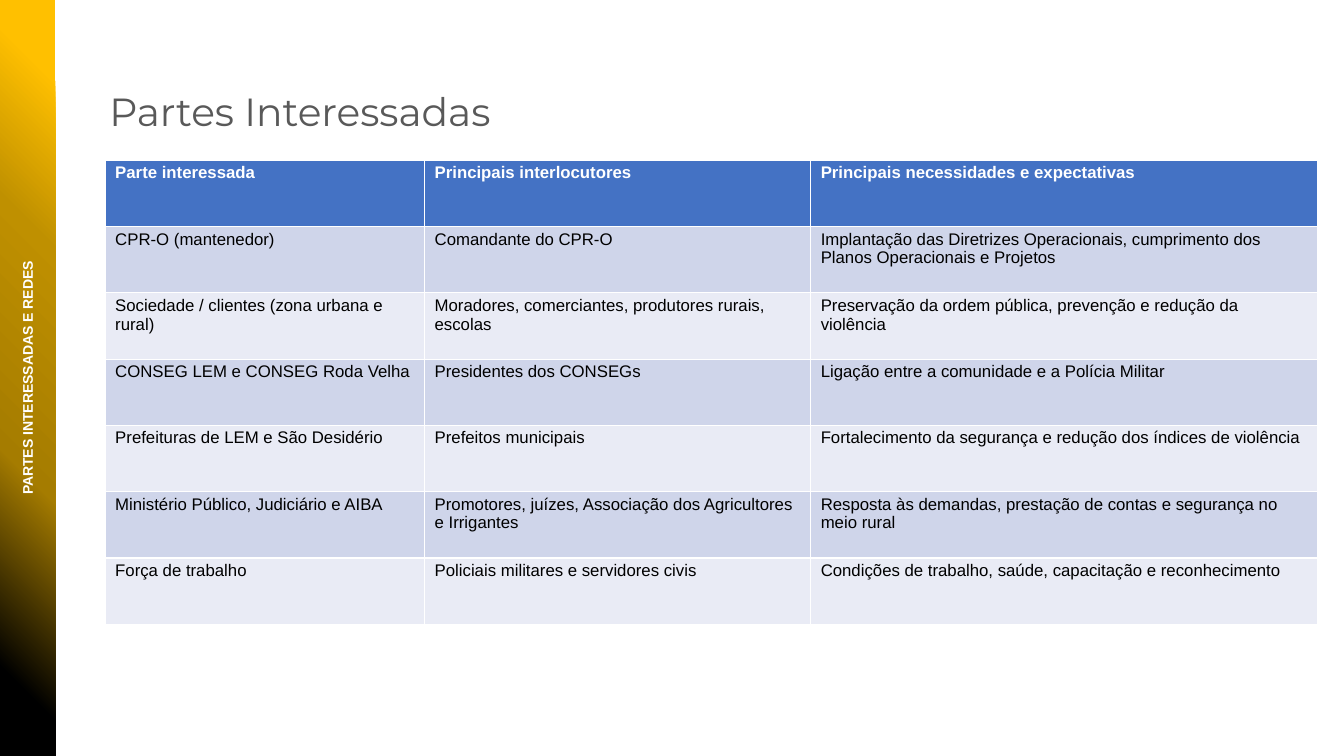
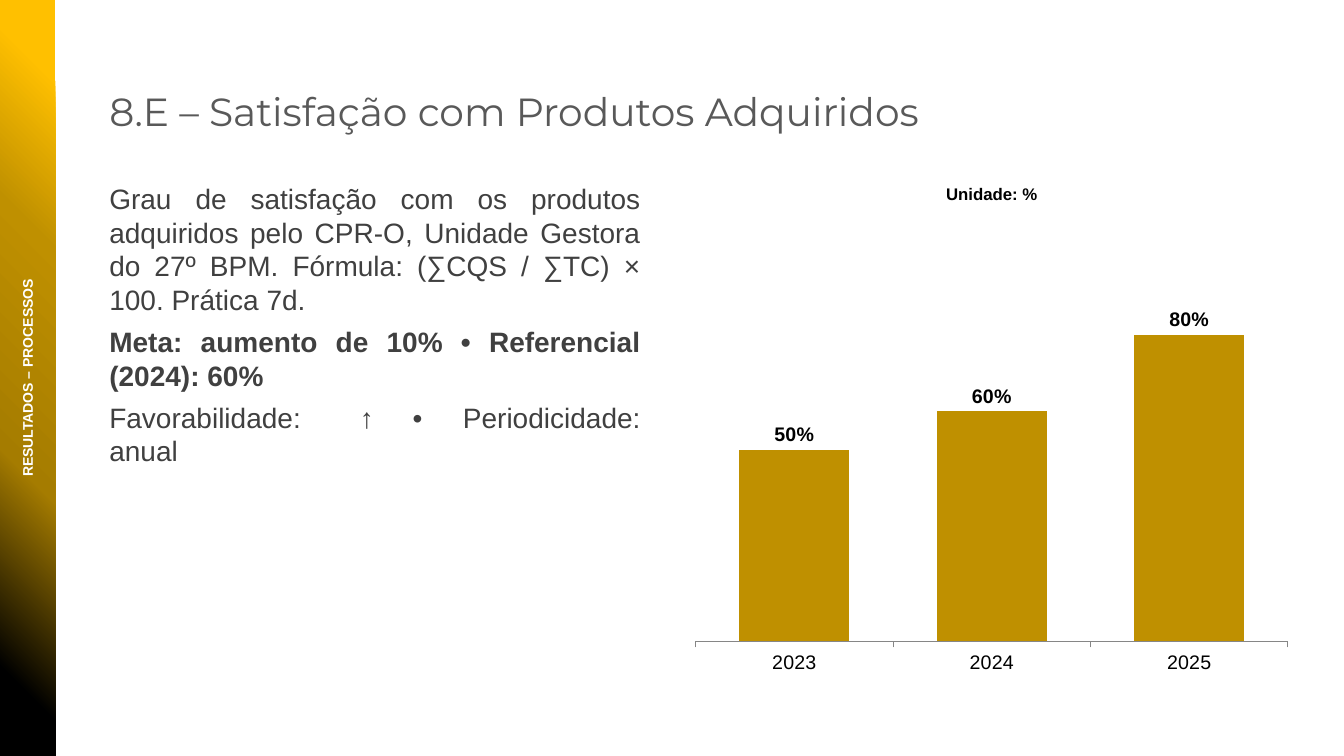
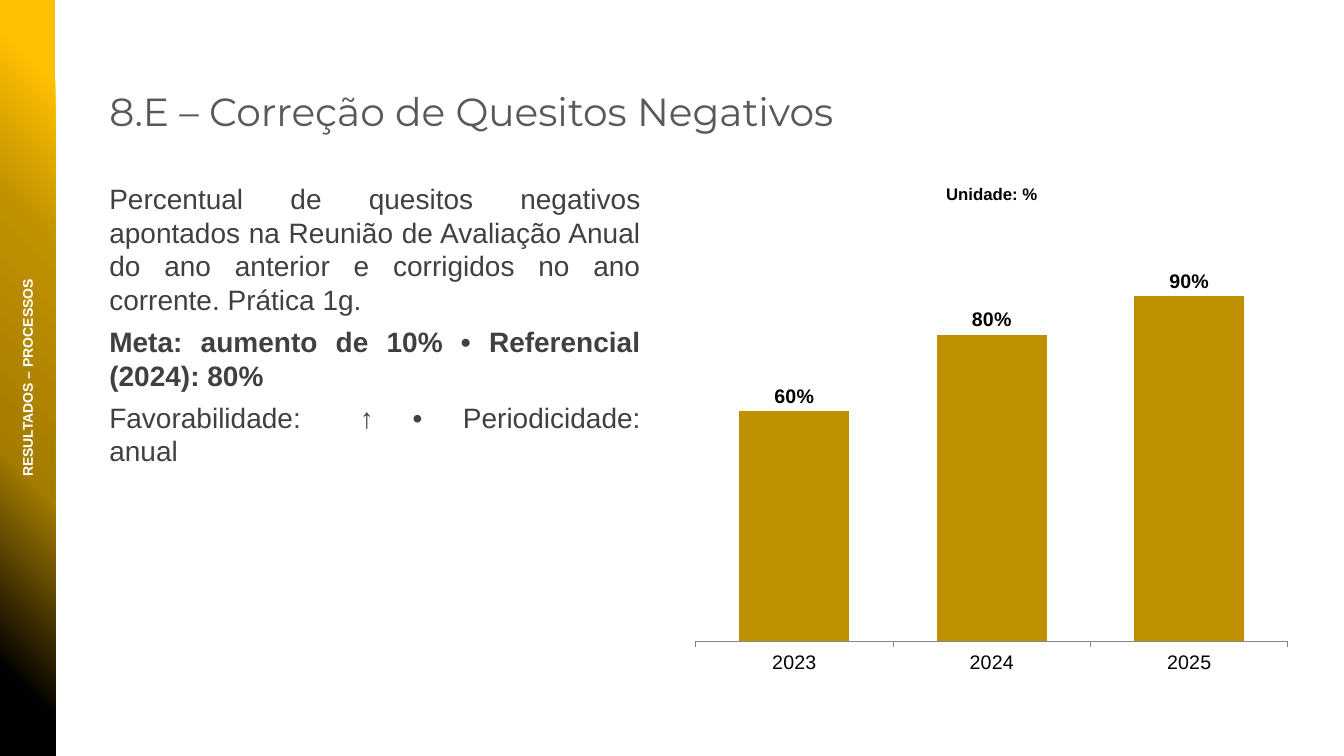
"""Build three slides on interested parties and process results."""
from dataclasses import dataclass

from lxml import etree
from pptx import Presentation
from pptx import util as u
from pptx.chart.data import CategoryChartData
from pptx.dml.color import RGBColor
from pptx.enum import chart as ch, shapes, text
from pptx.oxml import parse_xml
from pptx.oxml.ns import nsdecls, qn

Cm, Pt = u.Cm, u.Pt


@dataclass(frozen=True)
class Theme:
    head_font: str = "Montserrat"
    body_font: str = "Arial"
    title: str = "595959"
    body: str = "404040"
    black: str = "000000"
    white: str = "FFFFFF"
    gold: str = "BF9000"
    axis: str = "868686"
    header: str = "4472C4"
    rows: tuple = ("CFD5EA", "E9EBF5")
    band: tuple = ((0, "000000"), (11, "000000"), (38, "A57C00"),
                   (69, "BF9000"), (90, "FFC000"), (100, "FFC000"))
    title_size: int = 28
    body_size: int = 20
    line_size: int = 24
    axis_size: int = 14
    table_size: int = 12
    label_size: int = 10


T = Theme()
BAND_W = Cm(1.4)


def write(p, words, size, color, font=T.body_font, bold=False, align=None):
    p.alignment = align
    r = p.add_run()
    r.text = words
    r.font.name, r.font.size, r.font.bold = font, Pt(size), bold
    r.font.color.rgb = RGBColor.from_string(color)


def add_slide(prs, layout, title, section):
    s = prs.slides.add_slide(prs.slide_layouts[layout])
    band = s.shapes.add_shape(shapes.MSO_SHAPE.RECTANGLE, 0, 0, BAND_W, prs.slide_height)
    band.shadow.inherit = False
    band.line.fill.background()
    band.fill.background()
    stops = "".join(f'<a:gs pos="{pos * 1000}"><a:srgbClr val="{c}"/></a:gs>' for pos, c in T.band)
    no_fill = band._element.spPr.find(qn("a:noFill"))
    band._element.spPr.replace(no_fill, parse_xml(
        f'<a:gradFill {nsdecls("a")} rotWithShape="1"><a:gsLst>{stops}</a:gsLst>'
        '<a:path path="circle"><a:fillToRect t="100000" r="100000"/></a:path></a:gradFill>'))

    sp = s.shapes.title
    sp.left, sp.top, sp.width, sp.height = Cm(2.5), Cm(2.06), Cm(31), Cm(1.45)
    tf = sp.text_frame
    tf.auto_size, tf.vertical_anchor = text.MSO_AUTO_SIZE.NONE, text.MSO_ANCHOR.TOP
    write(tf.paragraphs[0], title, T.title_size, T.title, T.head_font, align=text.PP_ALIGN.LEFT)

    w, h = Cm(14.9), Cm(0.7)
    sp = s.shapes.add_textbox((BAND_W - w) // 2, (prs.slide_height - h) // 2, w, h)
    sp.rotation = 270
    sp.text_frame.word_wrap = True
    write(sp.text_frame.paragraphs[0], section, T.label_size, T.white, bold=True,
          align=text.PP_ALIGN.CENTER)
    return s


prs = Presentation()
prs.slide_width, prs.slide_height = Cm(33.87), Cm(19.05)

s = add_slide(prs, 5, "Partes Interessadas", "PARTES INTERESSADAS E REDES")
parties = [
    ("Parte interessada", "Principais interlocutores", "Principais necessidades e expectativas"),
    ("CPR-O (mantenedor)", "Comandante do CPR-O",
     "Implantação das Diretrizes Operacionais, cumprimento dos Planos Operacionais e Projetos"),
    ("Sociedade / clientes (zona urbana e rural)",
     "Moradores, comerciantes, produtores rurais, escolas",
     "Preservação da ordem pública, prevenção e redução da violência"),
    ("CONSEG LEM e CONSEG Roda Velha", "Presidentes dos CONSEGs",
     "Ligação entre a comunidade e a Polícia Militar"),
    ("Prefeituras de LEM e São Desidério", "Prefeitos municipais",
     "Fortalecimento da segurança e redução dos índices de violência"),
    ("Ministério Público, Judiciário e AIBA",
     "Promotores, juízes, Associação dos Agricultores e Irrigantes",
     "Resposta às demandas, prestação de contas e segurança no meio rural"),
    ("Força de trabalho", "Policiais militares e servidores civis",
     "Condições de trabalho, saúde, capacitação e reconhecimento"),
]
widths = (8.05, 9.73, 12.78)
table = s.shapes.add_table(len(parties), len(widths), Cm(2.65), Cm(4.04),
                           Cm(sum(widths)), Cm(1.67 * len(parties))).table
for column, width in zip(table.columns, widths):
    column.width = Cm(width)
for i, row in enumerate(parties):
    for j, words in enumerate(row):
        cell = table.cell(i, j)
        cell.margin_top = cell.margin_bottom = Cm(0.08)
        cell.fill.solid()
        cell.fill.fore_color.rgb = RGBColor.from_string(T.rows[(i - 1) % 2] if i else T.header)
        write(cell.text_frame.paragraphs[0], words, T.table_size,
              T.black if i else T.white, bold=i == 0)

results = [
    ("8.E – Satisfação com Produtos Adquiridos",
     "Grau de satisfação com os produtos adquiridos pelo CPR-O, Unidade Gestora do 27º BPM. "
     "Fórmula: (∑CQS / ∑TC) × 100. Prática 7d.", (50, 60, 80)),
    ("8.E – Correção de Quesitos Negativos",
     "Percentual de quesitos negativos apontados na Reunião de Avaliação Anual do ano anterior "
     "e corrigidos no ano corrente. Prática 1g.", (60, 80, 90)),
]
for title, summary, values in results:
    s = add_slide(prs, 1, title, "RESULTADOS – PROCESSOS")
    sp = s.placeholders[1]
    sp.left, sp.top, sp.width, sp.height = Cm(2.5), Cm(4.45), Cm(13.9), Cm(12.78)
    tf = sp.text_frame
    tf.auto_size = text.MSO_AUTO_SIZE.NONE
    lines = (summary, f"Meta: aumento de 10% • Referencial (2024): {values[1]}%",
             "Favorabilidade: ↑\t•\tPeriodicidade: anual")
    for i, words in enumerate(lines):
        p = tf.add_paragraph() if i else tf.paragraphs[0]
        pPr = p._p.get_or_add_pPr()
        pPr.set("marL", "0")
        pPr.set("indent", "0")
        etree.SubElement(pPr, qn("a:buNone"))
        if "\t" in words:
            tabs = etree.SubElement(pPr, qn("a:tabLst"))
            for stop in (5.95, 6.85):
                etree.SubElement(tabs, qn("a:tab"), pos=str(Cm(stop)), algn="l")
        p.space_before, p.space_after, p.line_spacing = Pt(0), Pt(6), Pt(T.line_size)
        write(p, words, T.body_size, T.body, bold=i == 1, align=text.PP_ALIGN.JUSTIFY)

    data = CategoryChartData()
    data.categories = ("2023", "2024", "2025")
    data.add_series("Series 1", values)
    chart = s.shapes.add_chart(ch.XL_CHART_TYPE.COLUMN_CLUSTERED, Cm(17.22), Cm(4.17),
                               Cm(15.55), Cm(13.06), data).chart
    chart.has_legend = False
    chart.font.name, chart.font.size = T.body_font, Pt(18)
    chart.font.color.rgb = RGBColor.from_string(T.black)
    chart.has_title = True
    write(chart.chart_title.text_frame.paragraphs[0], "Unidade: %", T.table_size, T.black, bold=True)
    axis = chart.value_axis
    axis.visible = axis.has_major_gridlines = False
    axis.minimum_scale, axis.maximum_scale = 0, 110
    axis = chart.category_axis
    axis.major_tick_mark = ch.XL_TICK_MARK.OUTSIDE
    axis.tick_labels.font.size = Pt(T.axis_size)
    axis.format.line.color.rgb = RGBColor.from_string(T.axis)
    plot = chart.plots[0]
    plot.gap_width, plot.vary_by_categories = 80, False
    fill = plot.series[0].format.fill
    fill.solid()
    fill.fore_color.rgb = RGBColor.from_string(T.gold)
    plot.has_data_labels = True
    labels = plot.data_labels
    labels.show_value, labels.position = True, ch.XL_LABEL_POSITION.OUTSIDE_END
    labels.number_format, labels.number_format_is_linked = '0"%"', False
    labels.font.size, labels.font.bold = Pt(T.axis_size), True

prs.save("out.pptx")
